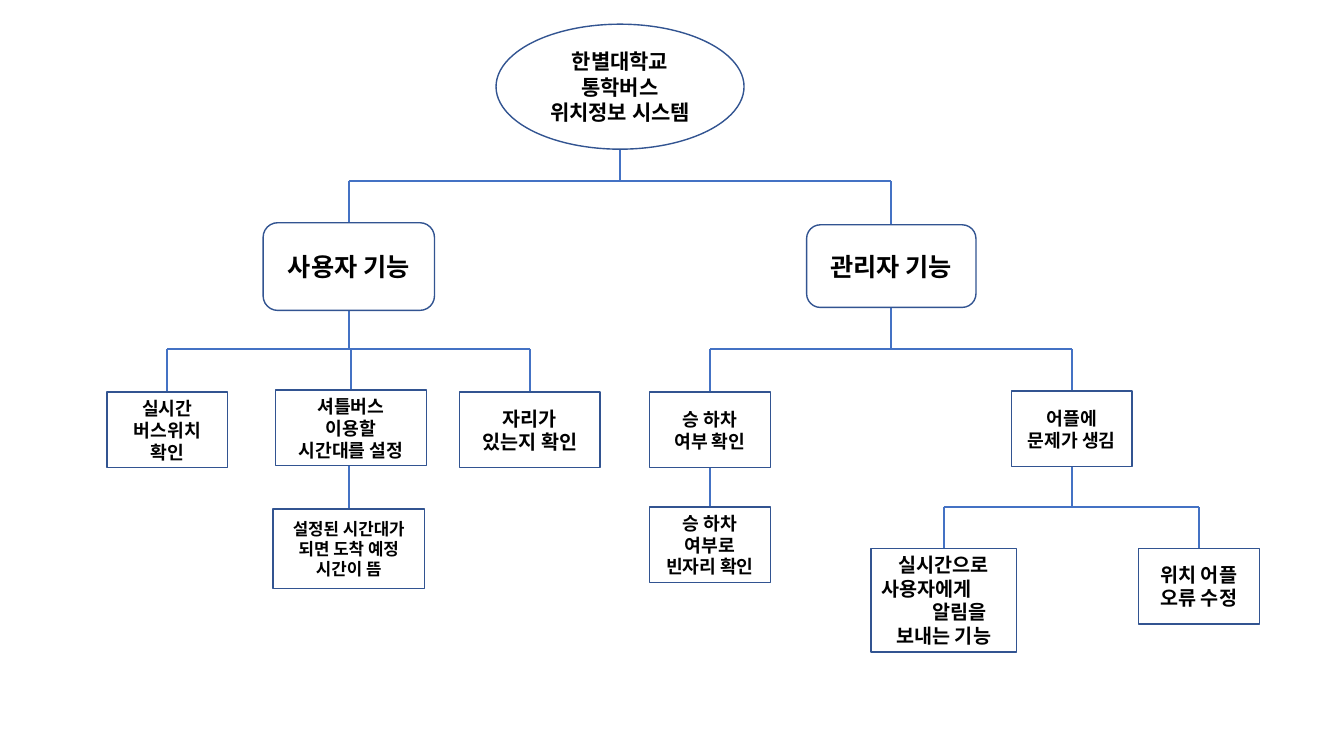
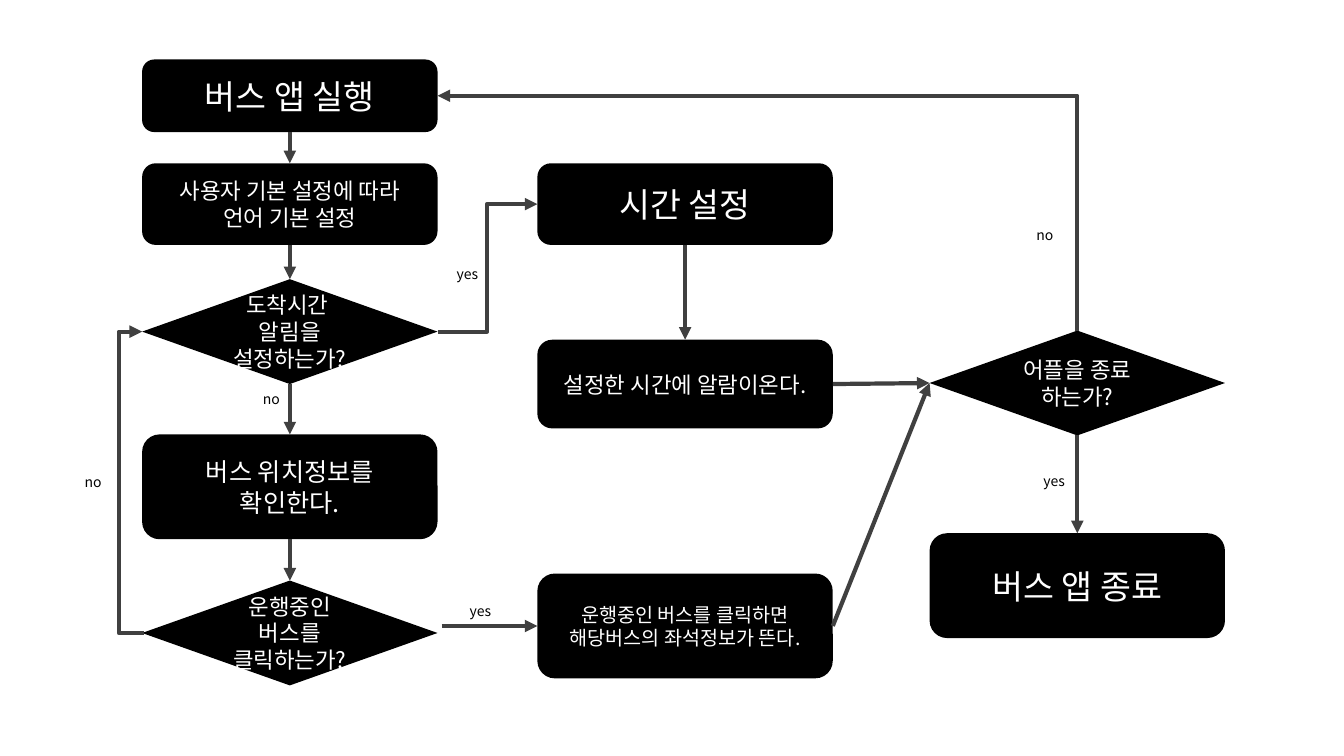
from dataclasses import dataclass

from lxml import etree
from pptx import Presentation
from pptx.dml.color import RGBColor
from pptx.enum.shapes import MSO_CONNECTOR as Connector, MSO_SHAPE as Preset
from pptx.enum.text import MSO_ANCHOR as Anchor, PP_ALIGN as Align
from pptx.oxml.ns import qn
from pptx.util import Inches, Pt


@dataclass(frozen=True)
class Theme:
    font: str = "Noto Sans CJK KR"
    latin: str = "Arial"
    white: str = "FFFFFF"
    black: str = "000000"
    outline: str = "325491"
    branch: str = "4472C4"
    arrow: str = "404040"
    outline_width: float = 1
    branch_width: float = 1.5
    arrow_width: float = 3
    line_height: float = 1.2
    label: int = 10
    tiny: int = 12
    small: int = 13
    medium: int = 14
    large: int = 15
    flow: int = 16
    heading: int = 18
    title: int = 24


THEME = Theme()
OVAL, ROUND, RECT = Preset.OVAL, Preset.ROUNDED_RECTANGLE, Preset.RECTANGLE
PROCESS, DECISION = Preset.FLOWCHART_ALTERNATE_PROCESS, Preset.FLOWCHART_DECISION

TREE_NODES = {
    "system": (OVAL, (4.92, 0.24, 2.46, 1.24), "한별대학교\n통학버스\n위치정보 시스템", THEME.large),
    "user": (ROUND, (2.61, 2.21, 1.7, 0.87), "사용자 기능", THEME.heading),
    "admin": (ROUND, (8, 2.23, 1.68, 0.82), "관리자 기능", THEME.heading),
    "location": (RECT, (1.06, 3.89, 1.2, 0.75), "실시간\n버스위치\n확인", THEME.small),
    "shuttle": (RECT, (2.73, 3.87, 1.5, 0.75), "셔틀버스\n이용할\n시간대를 설정", THEME.small),
    "arrival": (RECT, (2.71, 5.05, 1.5, 0.79), "설정된 시간대가\n되면 도착 예정\n시간이 뜸", THEME.tiny),
    "seat": (RECT, (4.56, 3.89, 1.39, 0.75), "자리가\n있는지 확인", THEME.medium),
    "boarding": (RECT, (6.44, 3.89, 1.2, 0.75), "승 하차\n여부 확인", THEME.small),
    "vacancy": (RECT, (6.44, 5.03, 1.2, 0.75), "승 하차\n여부로\n빈자리 확인", THEME.small),
    "problem": (RECT, (10.03, 3.88, 1.2, 0.75), "어플에\n문제가 생김", THEME.small),
    "notice": (RECT, (8.64, 5.44, 1.44, 1.03),
               [("실시간으로", None), ("사용자에게", 0), ("알림을", 0.51), ("보내는 기능", None)],
               THEME.medium),
    "repair": (RECT, (11.29, 5.44, 1.2, 0.75), "위치 어플\n오류 수정", THEME.medium),
}
LATIN_NODES = {"shuttle", "seat"}
BRANCHES = [
    ("system", 1.8, ["user", "admin"]),
    ("user", 3.46, ["location", "shuttle", "seat"]),
    ("admin", 3.46, ["boarding", "problem"]),
    ("shuttle", None, ["arrival"]),
    ("boarding", None, ["vacancy"]),
    ("problem", 5.03, ["notice", "repair"]),
]

FLOW_WIDTH = 2.93
FLOW_COLUMNS = (1.41, 5.33, 9.22)
FLOW_NODES = {
    "launch": (PROCESS, 0, 0.59, 0.72, "버스 앱 실행", THEME.title),
    "language": (PROCESS, 0, 1.62, 0.81, "사용자 기본 설정에 따라\n언어 기본 설정", THEME.flow),
    "alarm": (DECISION, 0, 2.77, 1.04, "도착시간 \n알림을\n설정하는가?", THEME.flow),
    "position": (PROCESS, 0, 4.31, 1.04, "버스 위치정보를\n확인한다.", THEME.heading),
    "click": (DECISION, 0, 5.76, 1.04, "운행중인\n버스를\n클릭하는가?", THEME.flow),
    "time": (PROCESS, 1, 1.62, 0.81, "시간 설정", THEME.title),
    "ring": (PROCESS, 1, 3.37, 0.88, "설정한 시간에 알람이온다.", THEME.flow),
    "seats": (PROCESS, 1, 5.69, 1.04, "운행중인 버스를 클릭하면\n해당버스의 좌석정보가 뜬다.", THEME.medium),
    "quit": (DECISION, 2, 3.28, 1.04, "어플을 종료\n하는가?", THEME.flow),
    "end": (PROCESS, 2, 5.29, 1.04, "버스 앱 종료", THEME.title),
}
FLOW_ARROWS = [
    (("launch", "bottom"), ("language", "top")),
    (("language", "bottom"), ("alarm", "top")),
    (("alarm", "bottom"), ("position", "top")),
    (("position", "bottom"), ("click", "top")),
    (("time", "bottom"), ("ring", "top")),
    (("quit", "bottom"), ("end", "top")),
    (("ring", "right"), ("quit", "left")),
    (("seats", "right"), ("quit", "left")),
    ((4.38, 6.21), ("seats", "left")),
]
FLOW_LABELS = [
    ("no", 2.51, 3.83), ("no", 0.74, 4.65), ("yes", 4.43, 2.59),
    ("no", 10.18, 2.2), ("yes", 4.56, 5.93), ("yes", 10.25, 4.64),
]


def color(value):
    return RGBColor.from_string(value)


def apply(target, values):
    for name, value in values.items():
        setattr(target, name, value)


def write(frame, content, size, ink, bold=False, latin=THEME.font, align=Align.CENTER):
    if isinstance(content, str):
        content = [(content, None)]
    for index, (text, indent) in enumerate(content):
        paragraph = frame.paragraphs[0] if index == 0 else frame.add_paragraph()
        paragraph.text = text
        apply(paragraph, {
            "alignment": align if indent is None else Align.LEFT,
            "line_spacing": Pt(size * THEME.line_height),
        })
        if indent:
            paragraph._p.get_or_add_pPr().set("marL", str(Inches(indent)))
        for run in paragraph.runs:
            apply(run.font, {"size": Pt(size), "bold": bold, "name": latin})
            run.font.color.rgb = color(ink)
            east_asian = etree.SubElement(run.font._element, qn("a:ea"))
            east_asian.set("typeface", THEME.font)


def add_node(slide, preset, box, content, size, fill, ink, outline=None, **text_format):
    shape = slide.shapes.add_shape(preset, *map(Inches, box))
    shape.shadow.inherit = False
    shape.fill.solid()
    shape.fill.fore_color.rgb = color(fill)
    if outline:
        shape.line.color.rgb = color(outline)
        shape.line.width = Pt(THEME.outline_width)
    else:
        shape.line.fill.background()
    apply(shape.text_frame, {"word_wrap": True, "vertical_anchor": Anchor.MIDDLE})
    write(shape.text_frame, content, size, ink, **text_format)


def add_line(slide, start, end, ink, width, kind=Connector.STRAIGHT, arrow=None):
    connector = slide.shapes.add_connector(kind, *map(Inches, (*start, *end)))
    connector.line.color.rgb = color(ink)
    connector.line.width = Pt(width)
    if arrow:
        etree.SubElement(connector.line._get_or_add_ln(), qn(f"a:{arrow}")).set("type", "triangle")
    etree.SubElement(connector._element.spPr, qn("a:effectLst"))
    return connector


def add_arrow(slide, start, end, kind=Connector.STRAIGHT, arrow="tailEnd"):
    return add_line(slide, start, end, THEME.arrow, THEME.arrow_width, kind, arrow)


def add_elbow(slide, start, end, turn):
    connector = add_arrow(slide, start, end, Connector.ELBOW)
    share = (turn - start[0]) / (end[0] - start[0])
    guides = connector._element.spPr.find(qn("a:prstGeom")).get_or_add_avLst()
    guide = etree.SubElement(guides, qn("a:gd"))
    guide.set("name", "adj1")
    guide.set("fmla", f"val {round(share * 100000)}")


def add_corner(slide, start, end):
    connector = add_arrow(slide, start, end, Connector.ELBOW, "headEnd")
    connector._element.spPr.find(qn("a:prstGeom")).set("prst", "bentConnector2")


def site(box, side):
    left, top, width, height = box
    across, down = {"top": (0.5, 0), "bottom": (0.5, 1), "left": (0, 0.5), "right": (1, 0.5)}[side]
    return left + width * across, top + height * down


def build_tree(slide):
    boxes = {name: node[1] for name, node in TREE_NODES.items()}

    def line(start, end):
        add_line(slide, start, end, THEME.branch, THEME.branch_width)

    for parent, bar, children in BRANCHES:
        trunk = site(boxes[parent], "bottom")
        tops = [site(boxes[child], "top") for child in children]
        if bar is None:
            line((tops[0][0], trunk[1]), tops[0])
            continue
        line(trunk, (trunk[0], bar))
        line((tops[0][0], bar), (tops[-1][0], bar))
        for top in tops:
            line((top[0], bar), top)
    for name, (preset, box, content, size) in TREE_NODES.items():
        latin = THEME.latin if name in LATIN_NODES else THEME.font
        add_node(slide, preset, box, content, size, THEME.white, THEME.black,
                 THEME.outline, bold=True, latin=latin)


def build_flow(slide):
    boxes = {}
    for name, (preset, column, top, height, content, size) in FLOW_NODES.items():
        boxes[name] = (FLOW_COLUMNS[column], top, FLOW_WIDTH, height)
        add_node(slide, preset, boxes[name], content, size, THEME.black, THEME.white)

    def point(place):
        return site(boxes[place[0]], place[1]) if isinstance(place[0], str) else place

    for start, end in FLOW_ARROWS:
        add_arrow(slide, point(start), point(end))
    add_elbow(slide, point(("alarm", "right")), point(("time", "left")), 4.83)
    add_elbow(slide, (1.43, 6.28), point(("alarm", "left")), 1.18)
    add_corner(slide, point(("launch", "right")), point(("quit", "top")))

    for text, left, top in FLOW_LABELS:
        label = slide.shapes.add_textbox(*map(Inches, (left, top, 0.41, 0.27)))
        label.text_frame.word_wrap = False
        write(label.text_frame, text, THEME.label, THEME.black, align=Align.LEFT)


def main():
    presentation = Presentation()
    apply(presentation, {"slide_width": Inches(13.33), "slide_height": Inches(7.5)})
    for build in (build_tree, build_flow):
        build(presentation.slides.add_slide(presentation.slide_layouts[6]))
    presentation.save("out.pptx")


if __name__ == "__main__":
    main()
